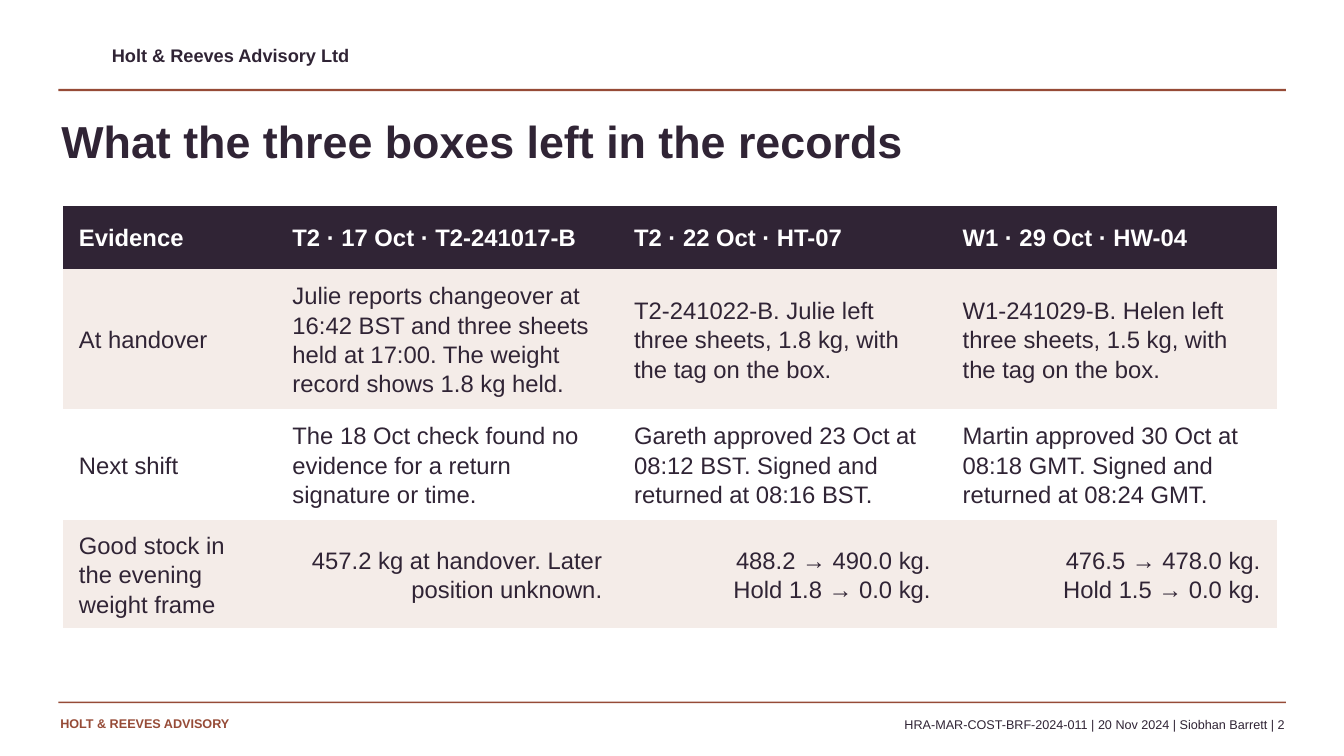
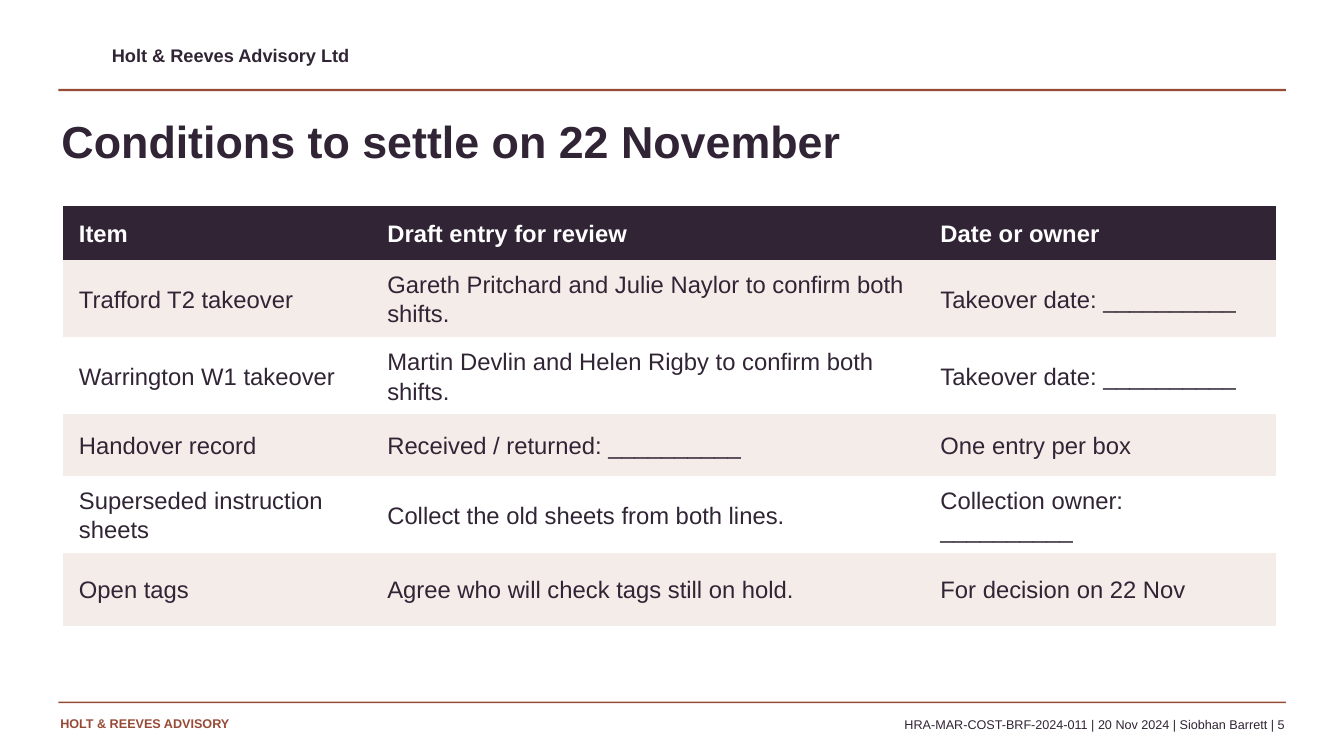
import pptx
import pptx.dml.color
import pptx.enum.shapes
import pptx.enum.text
import pptx.oxml.ns
import pptx.util

Cm = pptx.util.Cm
ALIGN = pptx.enum.text.PP_ALIGN
ANCHOR = pptx.enum.text.MSO_ANCHOR

RUST, PLUM, BLUSH, WHITE = "964B37", "302435", "F4ECE8", "FFFFFF"
FONT = "Arial"
PLAIN_GRID = "{2D5ABB26-0587-4C30-8999-92F81FD0307C}"
NUMERIC = "Good stock in the evening weight frame"


def paint(target, color):
    """Give a fill or a font a solid colour."""
    if hasattr(target, "solid"):
        target.solid()
        target.fore_color.rgb = pptx.dml.color.RGBColor.from_string(color)
    else:
        target.color.rgb = pptx.dml.color.RGBColor.from_string(color)


def write(holder, text, size=17, color=PLUM, bold=False, align=ALIGN.LEFT,
          line=1.1, pad=(0, 0)):
    """Fill a text frame or a table cell, both of which carry margins."""
    holder.margin_left = holder.margin_right = Cm(pad[0])
    holder.margin_top = holder.margin_bottom = Cm(pad[1])
    frame = getattr(holder, "text_frame", holder)
    para = frame.paragraphs[0]
    para.text = text
    para.alignment = align
    para.line_spacing = line
    for run in para.runs:
        run.font.name = FONT
        run.font.size = pptx.util.Pt(size)
        run.font.bold = bold
        paint(run.font, color)


# Left, top, width, height
rules = [(1.47, 2.24, 30.94, 0.06), (1.47, 17.68, 30.94, 0.04)]

slides = [
    {
        "title": "What the three boxes left in the records",
        "page": 2,
        "cols": [5.38, 8.61, 8.28, 8.31],
        "rows": [1.6, 3.2, 2.79, 2.46],
        "cells": [
            ["Evidence", "T2 · 17 Oct · T2-241017-B",
             "T2 · 22 Oct · HT-07", "W1 · 29 Oct · HW-04"],
            ["At handover",
             "Julie reports changeover at 16:42 BST and three sheets held "
             "at 17:00. The weight record shows 1.8 kg held.",
             "T2-241022-B. Julie left three sheets, 1.8 kg, with the tag "
             "on the box.",
             "W1-241029-B. Helen left three sheets, 1.5 kg, with the tag "
             "on the box."],
            ["Next shift",
             "The 18 Oct check found no evidence for a return signature "
             "or time.",
             "Gareth approved 23 Oct at 08:12 BST. Signed and returned at "
             "08:16 BST.",
             "Martin approved 30 Oct at 08:18 GMT. Signed and returned at "
             "08:24 GMT."],
            [NUMERIC, "457.2 kg at handover. Later position unknown.",
             "488.2 → 490.0 kg.\nHold 1.8 → 0.0 kg.",
             "476.5 → 478.0 kg.\nHold 1.5 → 0.0 kg."],
        ],
    },
    {
        "title": "Conditions to settle on 22 November",
        "page": 5,
        "cols": [7.77, 13.94, 8.86],
        "rows": [1.37, 1.93, 1.93, 1.55, 1.93, 1.83],
        "cells": [
            ["Item", "Draft entry for review", "Date or owner"],
            ["Trafford T2 takeover",
             "Gareth Pritchard and Julie Naylor to confirm both shifts.",
             "Takeover date: __________"],
            ["Warrington W1 takeover",
             "Martin Devlin and Helen Rigby to confirm both shifts.",
             "Takeover date: __________"],
            ["Handover record", "Received / returned: __________",
             "One entry per box"],
            ["Superseded instruction sheets",
             "Collect the old sheets from both lines.",
             "Collection owner: __________"],
            ["Open tags", "Agree who will check tags still on hold.",
             "For decision on 22 Nov"],
        ],
    },
]

deck = pptx.Presentation()
deck.slide_width, deck.slide_height = Cm(33.87), Cm(19.05)

for data in slides:
    slide = deck.slides.add_slide(deck.slide_layouts[6])
    paint(slide.background.fill, WHITE)

    for box in rules:
        rule = slide.shapes.add_shape(
            pptx.enum.shapes.MSO_SHAPE.RECTANGLE, *map(Cm, box))
        rule.shadow.inherit = False
        paint(rule.fill, RUST)
        rule.line.fill.background()

    ref = f"HRA-MAR-COST-BRF-2024-011 | 20 Nov 2024 | Siobhan Barrett | {data['page']}"
    labels = [
        ((2.82, 1.12, 15.24, 0.69), "Holt & Reeves Advisory Ltd",
         dict(size=13, bold=True, line=1.0)),
        ((1.52, 18.03, 8.64, 0.64), "HOLT & REEVES ADVISORY",
         dict(size=9, color=RUST, bold=True, line=1.0)),
        ((1.55, 2.72, 30.48, 1.98), data["title"], dict(size=32, bold=True)),
        ((10.48, 18.03, 21.89, 0.64), ref, dict(size=9, align=ALIGN.RIGHT)),
    ]
    for box, text, style in labels:
        frame = slide.shapes.add_textbox(*map(Cm, box)).text_frame
        frame.word_wrap = True
        write(frame, text, **style)

    cols, rows = data["cols"], data["rows"]
    table = slide.shapes.add_table(
        len(rows), len(cols), Cm(1.59), Cm(5.18),
        Cm(sum(cols)), Cm(sum(rows))).table
    table._tbl.tblPr.find(pptx.oxml.ns.qn("a:tableStyleId")).text = PLAIN_GRID
    for col, width in zip(table.columns, cols):
        col.width = Cm(width)
    for row, height in zip(table.rows, rows):
        row.height = Cm(height)

    for r, texts in enumerate(data["cells"]):
        head = r == 0
        fill = PLUM if head else BLUSH if r % 2 else WHITE
        for c, text in enumerate(texts):
            cell = table.cell(r, c)
            paint(cell.fill, fill)
            cell.vertical_anchor = ANCHOR.MIDDLE
            right = c > 0 and texts[0] == NUMERIC
            write(cell, text, bold=head, color=WHITE if head else PLUM,
                  align=ALIGN.RIGHT if right else ALIGN.LEFT, pad=(0.4, 0.18))

deck.save("out.pptx")
